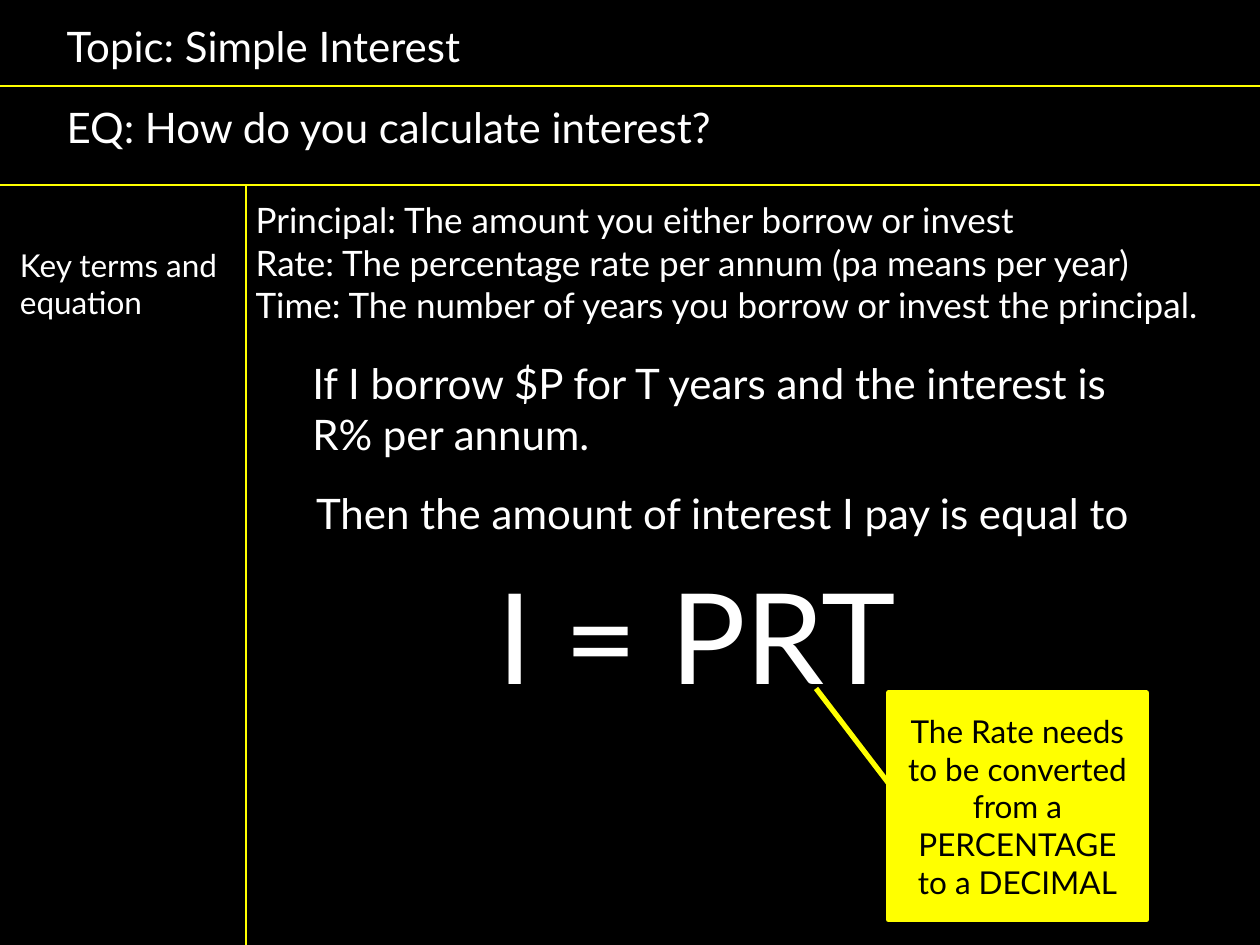
from typing import NamedTuple

from lxml.etree import SubElement
from pptx import Presentation
from pptx.dml.color import RGBColor
from pptx.enum.shapes import MSO_CONNECTOR, MSO_SHAPE
from pptx.enum.text import MSO_ANCHOR, MSO_AUTO_SIZE, PP_ALIGN
from pptx.oxml.ns import qn
from pptx.util import Inches, Pt

WIDE, HIGH = 10, 7.5
BLACK, WHITE, YELLOW = "000000", "FFFFFF", "FFFF00"
FONT = "Lato"


class Note(NamedTuple):
    left: float
    top: float
    width: float
    height: float
    size: int
    lines: tuple[str, ...]
    align: PP_ALIGN = PP_ALIGN.LEFT


class Rule(NamedTuple):
    x1: float
    y1: float
    x2: float
    y2: float


HEAD_Y, BODY_Y, SIDE_X = 0.68, 1.47, 1.95

RULES = (
    Rule(0, HEAD_Y, WIDE, HEAD_Y),
    Rule(0, BODY_Y, WIDE, BODY_Y),
    Rule(SIDE_X, BODY_Y, SIDE_X, HIGH),
)

NOTES = (
    Note(0.43, 0.11, 8.91, 0.5, 24, ("Topic: Simple Interest",)),
    Note(0.43, 0.76, 8.91, 0.5, 24, ("EQ: How do you calculate interest?",)),
    Note(0.06, 1.9, 1.89, 0.71, 18, ("Key terms and equation",)),
    Note(1.93, 1.53, 8.19, 1.11, 20, (
        "Principal: The amount you either borrow or invest",
        "Rate: The percentage rate per annum (pa means per year)",
        "Time: The number of years you borrow or invest the principal.",
    )),
    Note(2.38, 2.79, 7.01, 0.91, 24, (
        "If I borrow $P for T years and the interest is R% per annum.",
    )),
    Note(2.41, 3.82, 8.91, 0.5, 24, (
        "Then the amount of interest I pay is equal to",
    )),
    Note(2.95, 4.38, 5.16, 1.3, 72, ("I = PRT",), PP_ALIGN.CENTER),
)

TIP = Note(7.05, 5.5, 2.05, 1.8, 18, (
    "The Rate needs to be converted from a PERCENTAGE to a DECIMAL",
), PP_ALIGN.CENTER)
TIP_LEAD = (0.65, 0.17, -0.02, -0.28)


def paint(fmt, color: str) -> None:
    """Give a fill a solid colour."""
    fmt.solid()
    fmt.fore_color.rgb = RGBColor.from_string(color)


def write(frame, note: Note, color: str) -> None:
    look = {"name": FONT, "size": Pt(note.size)}
    frame.word_wrap = True
    for i, line in enumerate(note.lines):
        para = frame.add_paragraph() if i else frame.paragraphs[0]
        para.alignment = note.align
        run = para.add_run()
        run.text = line
        for key, value in look.items():
            setattr(run.font, key, value)
        paint(run.font.fill, color)


def place(note: Note) -> list[Inches]:
    return [Inches(n) for n in note[:4]]


def add_note(slide, note: Note) -> None:
    frame = slide.shapes.add_textbox(*place(note)).text_frame
    frame.auto_size = MSO_AUTO_SIZE.SHAPE_TO_FIT_TEXT
    write(frame, note, WHITE)


def add_rule(slide, rule: Rule) -> None:
    ends = [Inches(n) for n in rule]
    line = slide.shapes.add_connector(MSO_CONNECTOR.STRAIGHT, *ends)
    paint(line.line.fill, YELLOW)
    line.line.width = Pt(1.25)
    SubElement(line._element.spPr, qn("a:effectLst"))


def add_tip(slide, note: Note) -> None:
    tip = slide.shapes.add_shape(MSO_SHAPE.LINE_CALLOUT_1, *place(note))
    for i, value in enumerate(TIP_LEAD):
        tip.adjustments[i] = value
    tip.shadow.inherit = False
    paint(tip.fill, YELLOW)
    paint(tip.line.fill, YELLOW)
    tip.line.width = Pt(3)
    tip.text_frame.vertical_anchor = MSO_ANCHOR.MIDDLE
    write(tip.text_frame, note, BLACK)


def main() -> None:
    deck = Presentation()
    deck.slide_width, deck.slide_height = Inches(WIDE), Inches(HIGH)
    slide = deck.slides.add_slide(deck.slide_layouts[6])
    paint(slide.background.fill, BLACK)
    for rule in RULES:
        add_rule(slide, rule)
    for note in NOTES:
        add_note(slide, note)
    add_tip(slide, TIP)
    deck.save("out.pptx")


if __name__ == "__main__":
    main()
